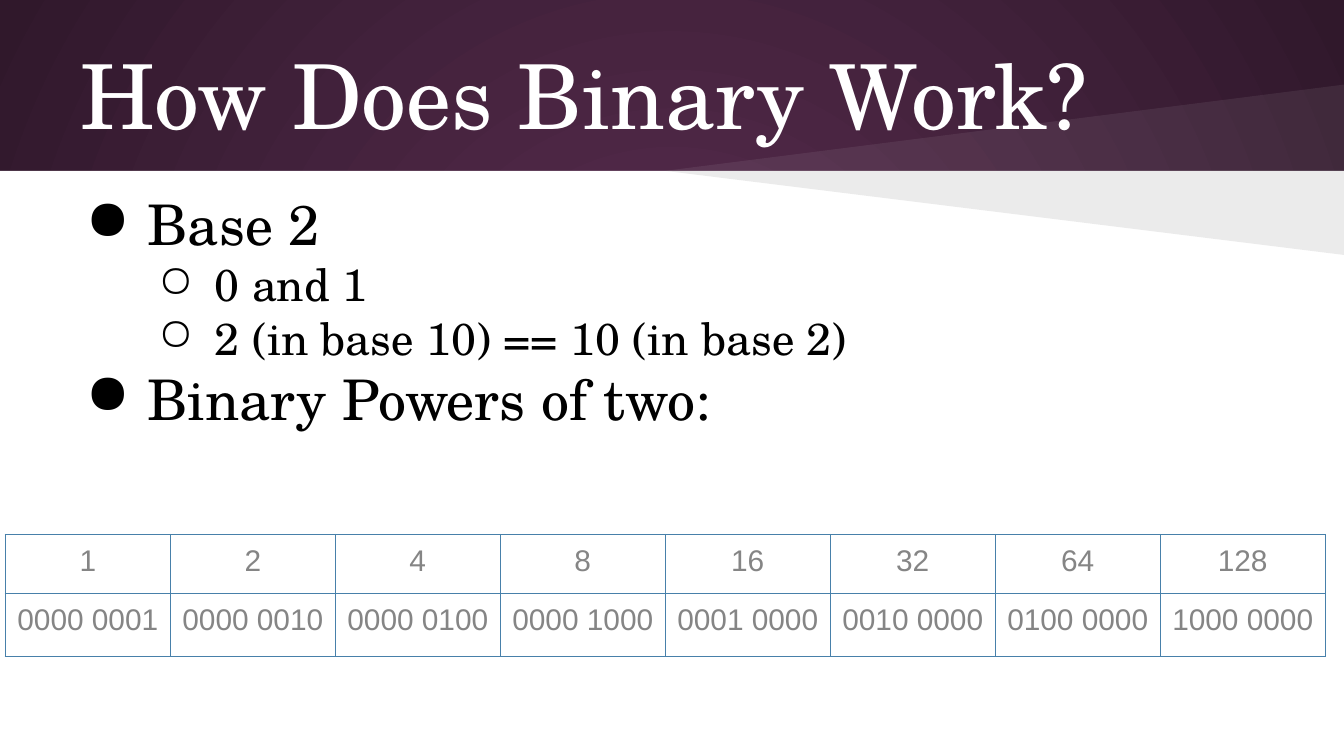
from pptx import Presentation
from pptx.dml.color import RGBColor
from pptx.enum.shapes import MSO_SHAPE
from pptx.enum.text import MSO_ANCHOR, PP_ALIGN
from pptx.oxml import parse_xml
from pptx.oxml.ns import nsdecls, qn
from pptx.util import Cm, Pt

WIDE, HIGH = 25.4, 14.29
BAND = 3.23  # height of the dark title band
SERIF, SANS = "TeX Gyre Schola", "Arial"
NS = nsdecls("a")


def color(code):
    return RGBColor.from_string(code)


def put(para, text, size=30, font=SERIF, ink="000000", align=None,
        lines=None, before=0):
    """Write formatted text into a paragraph."""
    run = para.add_run()
    run.text = text
    run.font.size = Pt(size)
    run.font.name = font
    run.font.color.rgb = color(ink)
    para.alignment = align
    para.line_spacing = lines
    para.space_before = Pt(before)


def bullet(para, mark, left, hang):
    """Give a paragraph a bullet with a hanging indent."""
    props = para._p.get_or_add_pPr()
    props.set("marL", str(Cm(left)))
    props.set("indent", str(-Cm(hang)))
    props.append(parse_xml(
        f'<a:buClr {NS}><a:srgbClr val="000000"/></a:buClr>'))
    props.append(parse_xml(f'<a:buChar {NS} char="{mark}"/>'))


def box(slide, left, top, width, height, anchor=MSO_ANCHOR.TOP):
    frame = slide.shapes.add_textbox(
        Cm(left), Cm(top), Cm(width), Cm(height)).text_frame
    frame.word_wrap = True
    frame.vertical_anchor = anchor
    frame.margin_left = frame.margin_right = Cm(0.25)
    frame.margin_top = frame.margin_bottom = Cm(0.25)
    return frame


def paint(shape, fill, alpha=100):
    """Fill a shape flat, without line or shadow."""
    shape.shadow.inherit = False
    shape.line.fill.background()
    shape.fill.solid()
    shape.fill.fore_color.rgb = color(fill)
    if alpha < 100:
        tone = shape.element.spPr.find(f".//{qn('a:srgbClr')}")
        tone.append(parse_xml(f'<a:alpha {NS} val="{alpha * 1000}"/>'))


def wedge(slide, edge, fill, alpha):
    """Draw a triangle from the band's lower edge to the right side."""
    pen = slide.shapes.build_freeform(Cm(WIDE), Cm(BAND))
    pen.add_line_segments([(Cm(12.57), Cm(BAND)), (Cm(WIDE), Cm(edge))])
    paint(pen.convert_to_shape(), fill, alpha)


def glow(slide, inner, outer):
    """Set a radial gradient as the background."""
    fill = slide.background.fill
    fill.gradient()
    for stop, tone, place in zip(fill.gradient_stops, (inner, outer), (0, 1)):
        stop.color.rgb = color(tone)
        stop.position = place
    grad = slide.element.find(f".//{qn('a:gradFill')}")
    grad.remove(grad.find(qn("a:lin")))
    mid = " ".join(f'{side}="50000"' for side in "ltrb")
    grad.append(parse_xml(
        f'<a:path {NS} path="circle"><a:fillToRect {mid}/></a:path>'))


def border(cell, tone, width):
    props = cell._tc.get_or_add_tcPr()
    for spot, side in enumerate("LRTB"):
        props.insert(spot, parse_xml(
            f'<a:ln{side} {NS} w="{Pt(width)}"><a:solidFill>'
            f'<a:srgbClr val="{tone}"/></a:solidFill></a:ln{side}>'))


def grid(slide, rows, left, top, width, highs):
    count = len(rows[0])
    table = slide.shapes.add_table(
        len(rows), count, Cm(left), Cm(top), Cm(width), Cm(sum(highs))).table
    table.first_row = table.horz_banding = False
    for col in table.columns:
        col.width = Cm(width / count)
    for row, high, texts in zip(table.rows, highs, rows):
        row.height = Cm(high)
        for cell, text in zip(row.cells, texts):
            cell.margin_left = cell.margin_right = Cm(0.1)
            cell.margin_top = cell.margin_bottom = Cm(0.1)
            cell.fill.background()
            border(cell, "4780AA", 0.75)
            put(cell.text_frame.paragraphs[0], text, size=16, font=SANS,
                ink="858585", align=PP_ALIGN.CENTER, lines=1.15)


def main():
    deck = Presentation()
    deck.slide_width, deck.slide_height = Cm(WIDE), Cm(HIGH)
    slide = deck.slides.add_slide(deck.slide_layouts[6])

    # Backdrop
    glow(slide, "592D50", "30182B")
    page = slide.shapes.add_shape(
        MSO_SHAPE.RECTANGLE, 0, Cm(BAND), Cm(WIDE), Cm(HIGH - BAND))
    paint(page, "FFFFFF")
    wedge(slide, 1.6, "FFFFFF", 7)
    wedge(slide, 4.82, "000000", 8)

    # Title
    title = box(slide, 1.27, 0.58, 22.86, 2.39, MSO_ANCHOR.MIDDLE)
    put(title.paragraphs[0], "How Does Binary Work?", size=48, ink="FFFFFF")

    # Bullet list
    body = box(slide, 1.27, 3.33, 22.86, 6.78)
    points = [(0, "Base 2"), (1, "0 and 1"),
              (1, "2 (in base 10) == 10 (in base 2)"),
              (0, "Binary Powers of two:")]
    looks = [("●", 1.27, 1.17, 30), ("○", 2.54, 1.07, 24)]
    for spot, (level, text) in enumerate(points):
        para = body.add_paragraph() if spot else body.paragraphs[0]
        mark, left, hang, size = looks[level]
        para.level = level
        put(para, text, size=size, before=0 if spot else 6)
        bullet(para, mark, left, hang)

    # Powers of two
    powers = [2 ** n for n in range(8)]
    codes = [f"{p >> 4:04b} {p & 15:04b}" for p in powers]
    grid(slide, [[str(p) for p in powers], codes],
         0.1, 10.1, 24.95, [1.12, 1.19])

    deck.save("out.pptx")


main()
